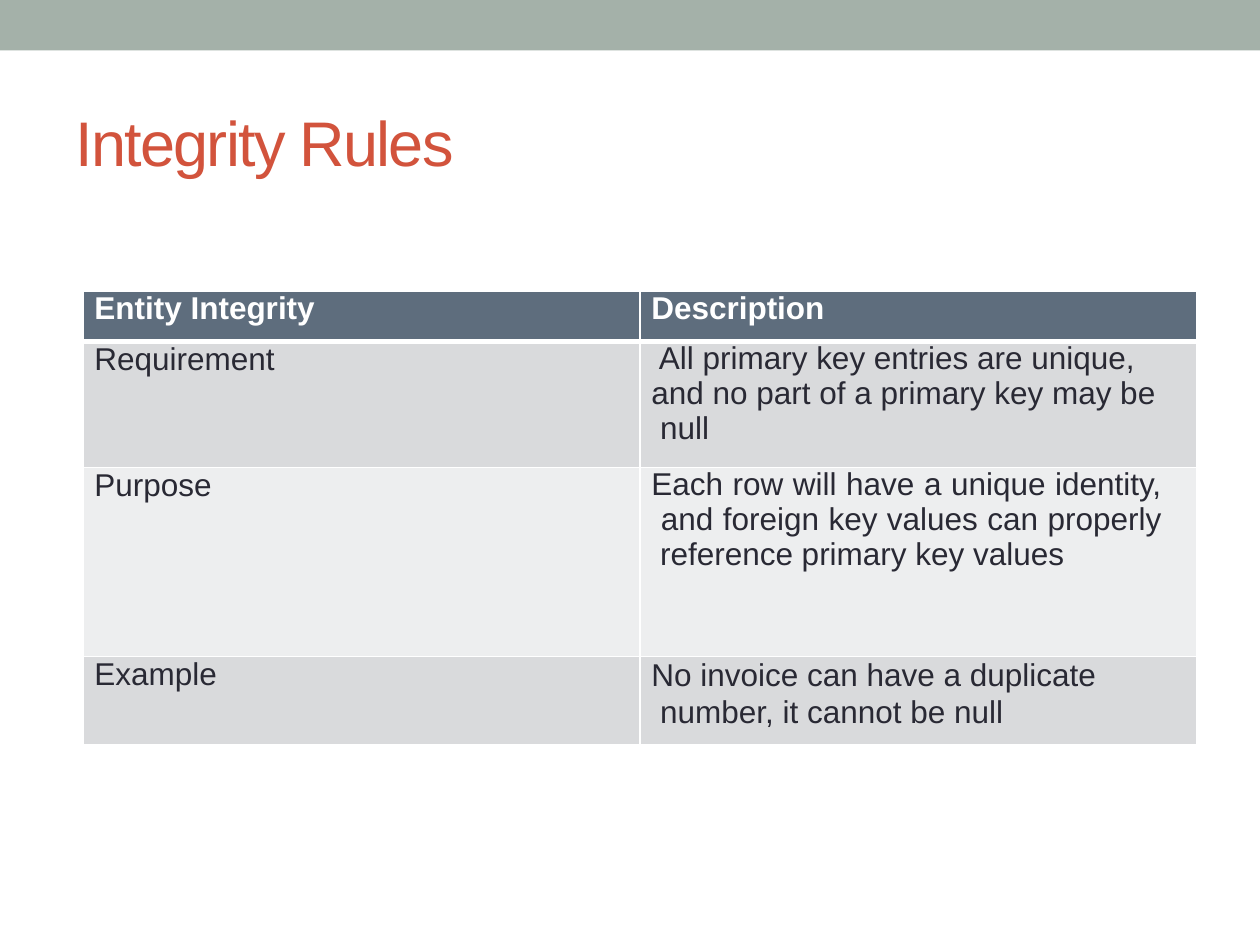
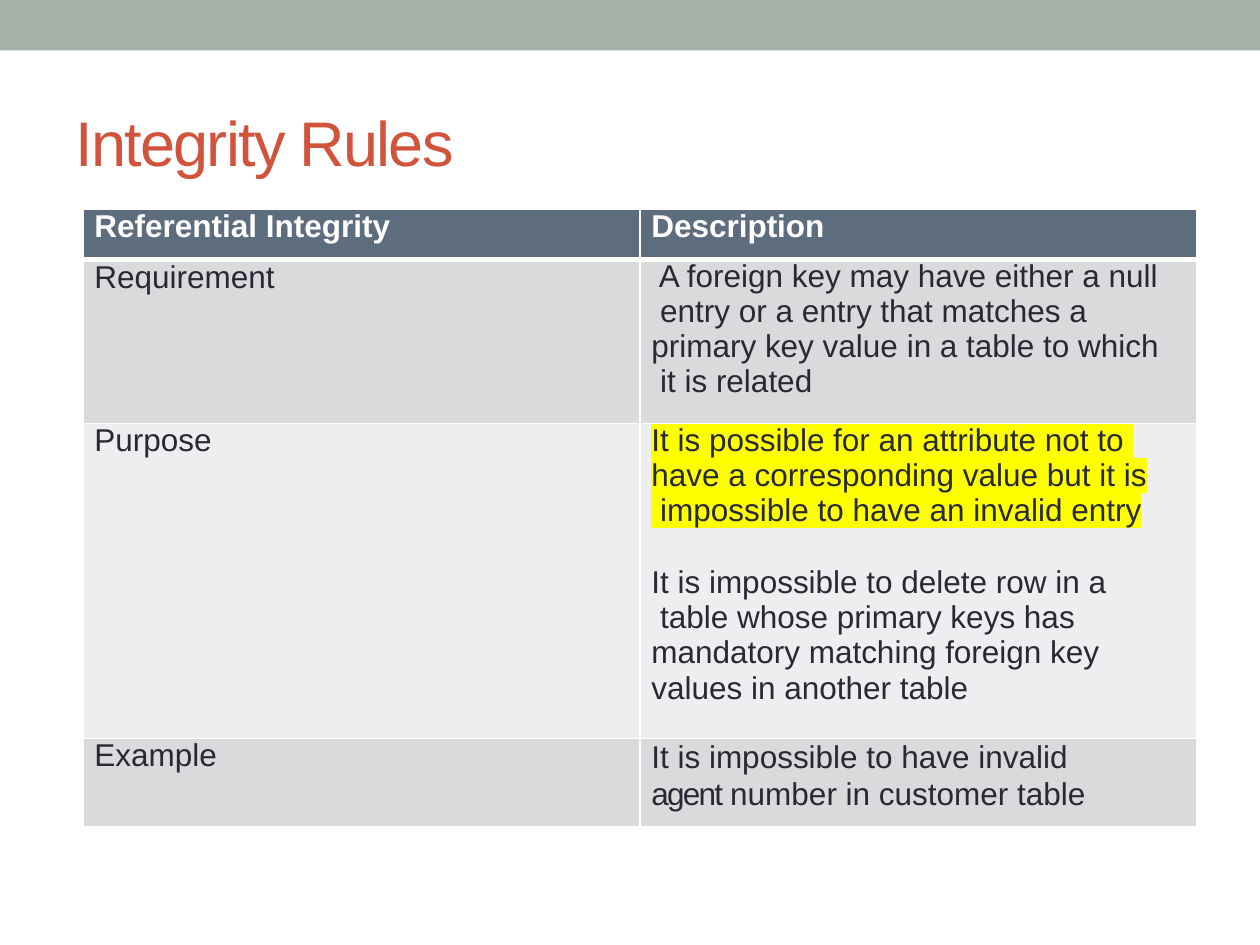
import pptx
import pptx.dml.color
import pptx.enum.shapes
import pptx.enum.text
import pptx.oxml
import pptx.oxml.ns
import pptx.util
from dataclasses import dataclass
from lxml import etree

Inches = pptx.util.Inches
Pt = pptx.util.Pt
ALIGN = pptx.enum.text.PP_ALIGN

COLORS = {
    "band": "A4B1A9",
    "title": "D2533C",
    "header": "5E6D7D",
    "odd": "D9DADC",
    "even": "EDEEEF",
    "text": "292934",
    "white": "FFFFFF",
    "marker": "FFFF00",
}


@dataclass
class Description:
    lines: list
    spacing: object = 0.99
    before: float = 0
    first_indent: float = 0
    align: object = ALIGN.LEFT
    highlight: bool = False
    tight: str = ""


class Deck:
    font = "Arial"
    body_size = 18
    title_size = 36
    table_left = 0.66
    column_width = 4.42

    def __init__(self):
        self.presentation = pptx.Presentation()
        self.presentation.slide_width = Inches(10)
        self.presentation.slide_height = Inches(7.5)
        self.slide = None

    def color(self, name):
        return pptx.dml.color.RGBColor.from_string(COLORS[name])

    def add_slide(self, title):
        layout = self.presentation.slide_layouts.get_by_name("Title Only")
        self.slide = self.presentation.slides.add_slide(layout)
        self.add_title(title)

    def add_master_band(self):
        shape = self.slide.shapes.add_shape(
            pptx.enum.shapes.MSO_SHAPE.RECTANGLE, 0, 0, Inches(10), Inches(0.4))
        shape.shadow.inherit = False
        shape.fill.solid()
        shape.fill.fore_color.rgb = self.color("band")
        shape.line.fill.background()
        master = self.presentation.slide_master
        master.element.cSld.spTree.insert(2, shape.element)

    def add_title(self, text):
        shape = self.slide.shapes.title
        shape.left, shape.top = Inches(0.59), Inches(0.54)
        shape.width, shape.height = Inches(8.83), Inches(1.18)
        frame = shape.text_frame
        frame.text = text
        frame.vertical_anchor = pptx.enum.text.MSO_ANCHOR.TOP
        frame.margin_left, frame.margin_top = Inches(0.01), Inches(0.28)
        frame.margin_right = frame.margin_bottom = 0
        paragraph = frame.paragraphs[0]
        paragraph.alignment = ALIGN.LEFT
        self.format_run(paragraph.runs[0], "title", self.title_size, spacing=-1)

    def format_run(self, run, color, size=body_size, bold=False, spacing=0, highlight=False):
        font = run.font
        font.name = self.font
        font.size = Pt(size)
        font.bold = bold
        font.color.rgb = self.color(color)
        properties = run._r.get_or_add_rPr()
        if spacing:
            properties.set("spc", str(int(spacing * 100)))
        if highlight:
            marker = etree.Element(pptx.oxml.ns.qn("a:highlight"))
            etree.SubElement(marker, pptx.oxml.ns.qn("a:srgbClr"), val=COLORS["marker"])
            properties.find(pptx.oxml.ns.qn("a:solidFill")).addnext(marker)

    def style_cell(self, cell, fill, top=1, bottom=1):
        cell.margin_left = Inches(0.09)
        cell.margin_right = cell.margin_top = cell.margin_bottom = 0
        cell.fill.solid()
        cell.fill.fore_color.rgb = self.color(fill)
        properties = cell._tc.get_or_add_tcPr()
        sides = {"lnL": 1, "lnR": 1, "lnT": top, "lnB": bottom}
        for position, (side, width) in enumerate(sides.items()):
            line = etree.Element(pptx.oxml.ns.qn(f"a:{side}"), w=str(Pt(width)))
            solid = etree.SubElement(line, pptx.oxml.ns.qn("a:solidFill"))
            etree.SubElement(solid, pptx.oxml.ns.qn("a:srgbClr"), val=COLORS["white"])
            properties.insert(position, line)

    def write_label(self, cell, text, color="text", bold=False):
        cell.text_frame.text = text
        self.format_run(cell.text_frame.paragraphs[0].runs[0], color, bold=bold)

    def write_descriptions(self, cell, descriptions):
        frame = cell.text_frame
        for index, description in enumerate(descriptions):
            paragraph = frame.add_paragraph() if index else frame.paragraphs[0]
            paragraph.alignment = description.align
            paragraph.line_spacing = description.spacing
            paragraph.space_before = Pt(description.before)
            if description.first_indent:
                paragraph._p.get_or_add_pPr().set("indent", str(Inches(description.first_indent)))
            if description.align == ALIGN.JUSTIFY:
                cell.margin_right = Inches(0.28)
            for number, line in enumerate(description.lines):
                if number:
                    paragraph.add_line_break()
                tight = description.tight if line.startswith(description.tight) else ""
                for text, spacing in ((tight, -1), (line[len(tight):], 0)):
                    if text:
                        run = paragraph.add_run()
                        run.text = text
                        self.format_run(run, "text", spacing=spacing,
                                        highlight=description.highlight)

    def add_rules_table(self, top, heading, heights, rows):
        table = self.slide.shapes.add_table(
            len(heights), 2, Inches(self.table_left), Inches(top),
            Inches(2 * self.column_width), Inches(sum(heights))).table
        table.first_row = table.horz_banding = False
        for column in table.columns:
            column.width = Inches(self.column_width)
        for row, height in zip(table.rows, heights):
            row.height = Inches(height)
        for cell, text in zip(table.rows[0].cells, (heading, "Description")):
            self.style_cell(cell, "header", bottom=3)
            self.write_label(cell, text, "white", bold=True)
        for index, (label, descriptions) in enumerate(rows.items(), 1):
            for cell in table.rows[index].cells:
                self.style_cell(cell, "odd" if index % 2 else "even", top=3 if index == 1 else 1)
            self.write_label(table.cell(index, 0), label)
            self.write_descriptions(table.cell(index, 1), descriptions)


def main():
    deck = Deck()

    deck.add_slide("Integrity Rules")
    deck.add_master_band()
    deck.add_rules_table(2.31, "Entity Integrity", [0.4, 1, 1.5, 0.7], {
        "Requirement": [Description(
            ["All primary key entries are unique,",
             "and no part of a primary key may be",
             " null"], first_indent=0.06)],
        "Purpose": [Description(
            ["Each row will have a unique identity,",
             " and foreign key values can properly",
             " reference primary key values"], align=ALIGN.JUSTIFY)],
        "Example": [Description(
            ["No invoice can have a duplicate",
             " number, it cannot be null"], spacing=Pt(21))],
    })

    deck.add_slide("Integrity Rules")
    deck.add_rules_table(1.66, "Referential Integrity", [0.4, 1.3, 2.5, 0.7], {
        "Requirement": [Description(
            ["A foreign key may have either a null",
             " entry or a entry that matches a",
             "primary key value in a table to which",
             " it is related"], first_indent=0.06)],
        "Purpose": [
            Description(
                ["It is possible for an attribute not to ",
                 "have a corresponding value but it is",
                 " impossible to have an invalid entry"], highlight=True),
            Description(
                ["It is impossible to delete row in a",
                 " table whose primary keys has",
                 "mandatory matching foreign key",
                 "values in another table"], spacing=1.0, before=21),
        ],
        "Example": [Description(
            ["It is impossible to have invalid",
             "agent number in customer table"], spacing=Pt(21), tight="agent ")],
    })

    deck.presentation.save("out.pptx")


if __name__ == "__main__":
    main()
